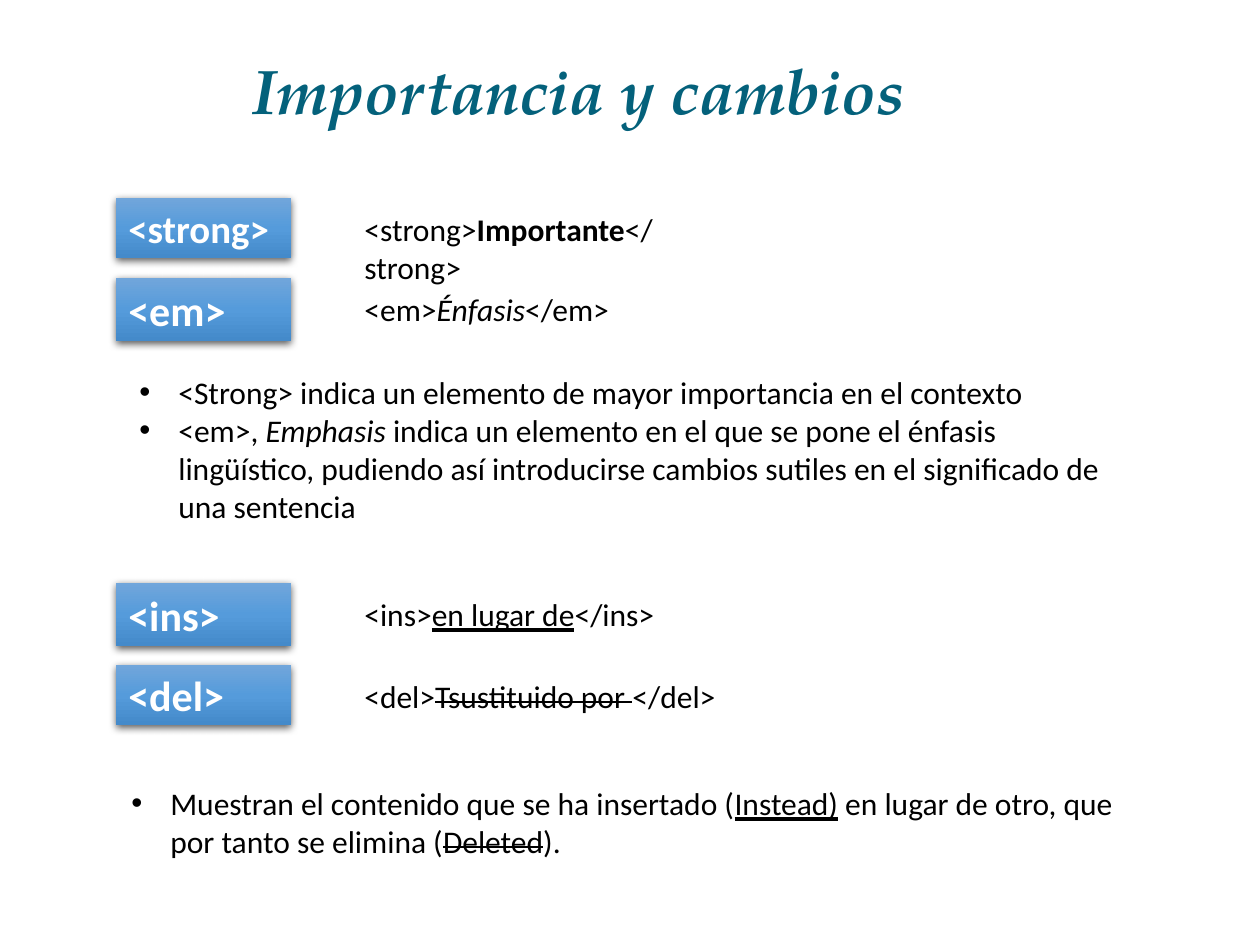
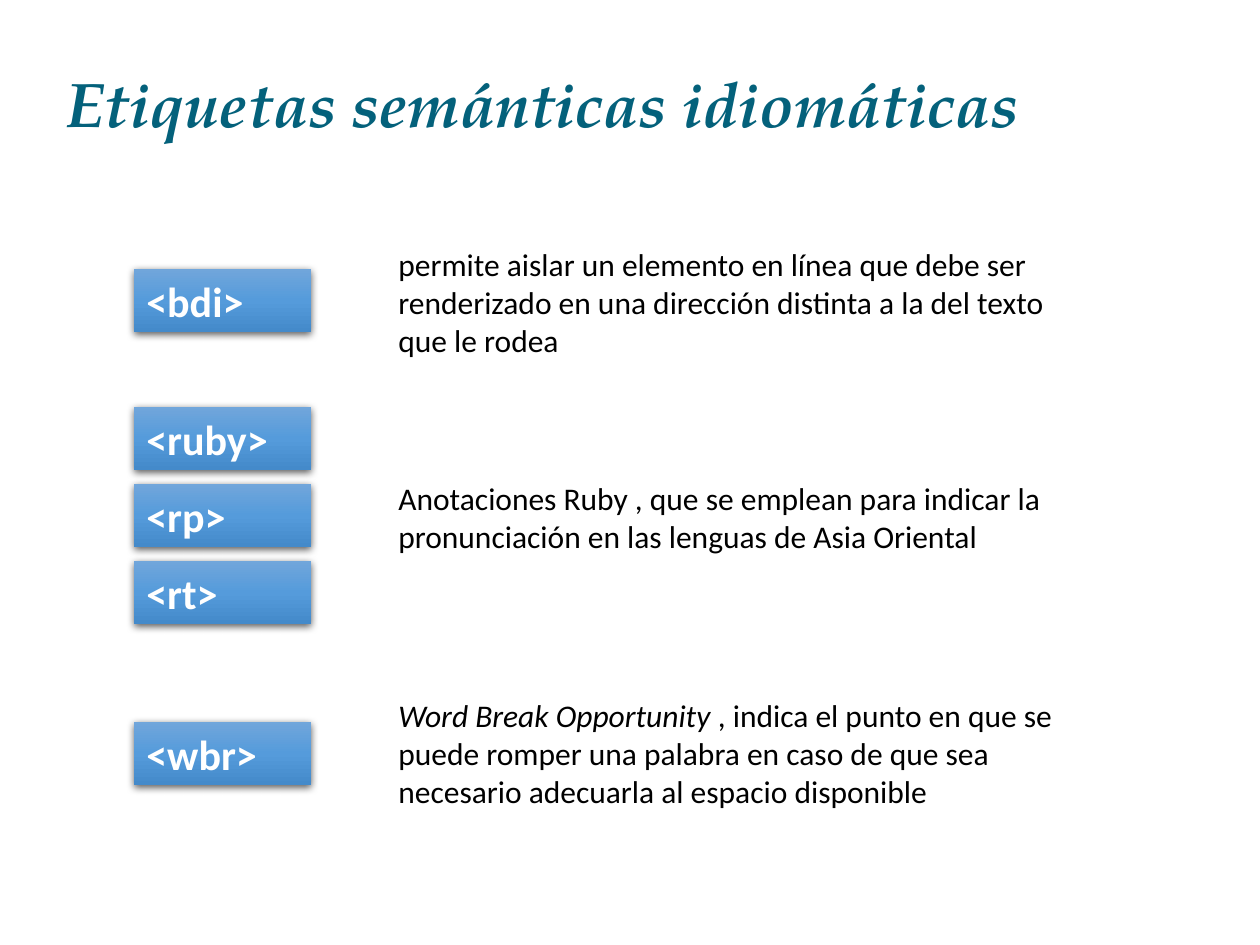
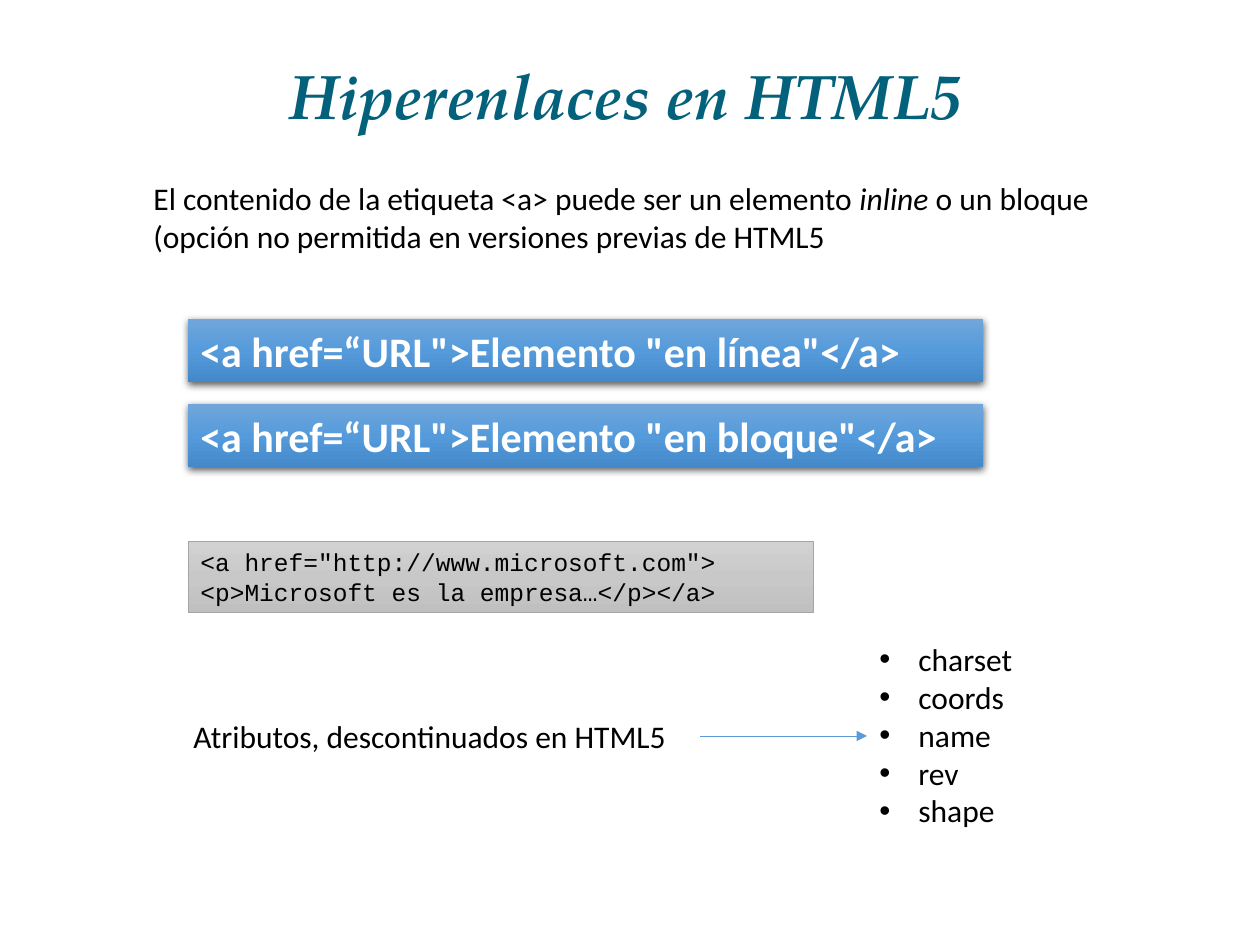
from copy import deepcopy
from dataclasses import dataclass

from pptx import Presentation
from pptx.dml.color import RGBColor
from pptx.enum.shapes import MSO_CONNECTOR, MSO_SHAPE
from pptx.enum.text import MSO_ANCHOR, PP_ALIGN
from pptx.oxml import parse_xml
from pptx.oxml.ns import nsdecls, qn
from pptx.util import Emu, Pt

RECTANGLE = MSO_SHAPE.RECTANGLE
STRAIGHT = MSO_CONNECTOR.STRAIGHT
TOP, MIDDLE = MSO_ANCHOR.TOP, MSO_ANCHOR.MIDDLE
LEFT, CENTER = PP_ALIGN.LEFT, PP_ALIGN.CENTER
LEFT_SIDE, RIGHT_SIDE = 1, 3
BLANK_LAYOUT = 6
PX_PER_INCH = 126


@dataclass(frozen=True)
class Style:
    font: str
    size: float
    color: str
    bold: bool = False
    italic: bool = False


@dataclass(frozen=True)
class Theme:
    title = Style("TeX Gyre Pagella", 36, "04617B", bold=True, italic=True)
    body = Style("Calibri", 18, "000000")
    tag = Style("Calibri", 24, "FFFFFF", bold=True)
    long_tag = Style("Calibri", 22.2, "FFFFFF", bold=True)
    code = Style("Courier New", 14, "000000")
    blue_gradient = ("71A6DB", "559BDB", "448ACA")
    gray_gradient = ("D2D2D2", "C8C8C8", "C0C0C0")
    gray_line = "A5A5A5"
    arrow = "5B9BD5"
    bullet_indent = 39
    tag_height = 63


THEME = Theme()


def px(length):
    return Emu(round(length * 914400 / PX_PER_INCH))


def format_run(run, style, mark=""):
    """Mark is a set of letters: b bold, i italic, u underline, s strike."""
    font = run.font
    font.name, font.size = style.font, Pt(style.size)
    font.color.rgb = RGBColor.from_string(style.color)
    font.bold = style.bold or "b" in mark
    font.italic = style.italic or "i" in mark
    font.underline = "u" in mark
    if "s" in mark:
        run._r.get_or_add_rPr().set("strike", "sngStrike")


def add_bullet(paragraph):
    properties = paragraph._p.get_or_add_pPr()
    indent = px(THEME.bullet_indent)
    properties.set("marL", str(indent))
    properties.set("indent", str(-indent))
    properties.append(parse_xml(f'<a:buFont {nsdecls("a")} typeface="Arial"/>'))
    properties.append(parse_xml(f'<a:buChar {nsdecls("a")} char="•"/>'))


def write(shape, paragraphs, style, anchor=TOP, align=LEFT, bullets=False, spacing=None):
    """Each paragraph is a string or a list of (text, mark) pairs."""
    frame = shape.text_frame
    frame.word_wrap = True
    frame.vertical_anchor = anchor
    for index, content in enumerate(paragraphs):
        paragraph = frame.paragraphs[0] if index == 0 else frame.add_paragraph()
        paragraph.alignment = align
        if spacing:
            paragraph.line_spacing = spacing
        if bullets:
            add_bullet(paragraph)
        if isinstance(content, str):
            paragraph.text = content
            for run in paragraph.runs:
                format_run(run, style)
        else:
            for text, mark in content:
                run = paragraph.add_run()
                run.text = text
                format_run(run, style, mark)


def add_text(slide, box, *paragraphs, style=THEME.body, **options):
    shape = slide.shapes.add_textbox(*map(px, box))
    write(shape, paragraphs, style, **options)
    return shape


def add_title(slide, box, text, align=CENTER, spacing=0.9):
    add_text(slide, box, text, style=THEME.title, anchor=MIDDLE, align=align, spacing=spacing)


def add_gradient_box(slide, box, colors):
    shape = slide.shapes.add_shape(RECTANGLE, *map(px, box))
    shape.shadow.inherit = False
    shape.line.fill.background()
    fill = shape.fill
    fill.gradient()
    fill.gradient_angle = 270
    stop_list = shape._element.spPr.find(qn("a:gradFill")).find(qn("a:gsLst"))
    stop_list.append(deepcopy(stop_list[0]))
    for stop, position, color in zip(fill.gradient_stops, (0, 0.5, 1), colors):
        stop.position = position
        stop.color.rgb = RGBColor.from_string(color)
    return shape


def add_tag(slide, box, text, style=THEME.tag):
    """Blue label with a soft shadow below it."""
    shape = add_gradient_box(slide, box, THEME.blue_gradient)
    shape._element.spPr.find(qn("a:effectLst")).append(parse_xml(
        f'<a:outerShdw {nsdecls("a")} blurRad="{Pt(4.5)}" dist="{Pt(1.5)}" dir="5400000" '
        'algn="ctr" rotWithShape="0"><a:srgbClr val="000000"><a:alpha val="63000"/>'
        '</a:srgbClr></a:outerShdw>'))
    write(shape, [text], style, anchor=MIDDLE)


def add_code(slide, box, text):
    shape = add_gradient_box(slide, box, THEME.gray_gradient)
    shape.line.color.rgb = RGBColor.from_string(THEME.gray_line)
    shape.line.width = Pt(0.5)
    write(shape, [text], THEME.code)


def add_arrow(slide, source, target):
    connector = slide.shapes.add_connector(STRAIGHT, 0, 0, 0, 0)
    connector.begin_connect(source, RIGHT_SIDE)
    connector.end_connect(target, LEFT_SIDE)
    connector.line.color.rgb = RGBColor.from_string(THEME.arrow)
    connector.line.width = Pt(0.5)
    connector.line._get_or_add_ln().append(
        parse_xml(f'<a:tailEnd {nsdecls("a")} type="triangle"/>'))
    connector._element.spPr.append(parse_xml(f'<a:effectLst {nsdecls("a")}/>'))


def add_tag_example(slide, left, top, tag, example, width, height=THEME.tag_height,
                    style=THEME.tag):
    """Label with a marked sample of its use to the right."""
    add_tag(slide, (left, top, 175, height), f"<{tag}>", style)
    sample = [(f"<{tag}>", ""), example, (f"</{tag}>", "")]
    add_text(slide, (left + 236, top + 6, width, 50), sample)


def add_tag_group(slide, left, top, tags, definition, definition_top, definition_height):
    """Stack of labels with one definition to the right."""
    for index, tag in enumerate(tags):
        add_tag(slide, (left, top + index * 77, 177, THEME.tag_height), f"<{tag}>")
    add_text(slide, (left + 252, definition_top, 709, definition_height), definition)


def build_importance(slide):
    add_title(slide, (87, 50, 983, 88), "Importancia y cambios")
    add_tag_example(slide, 116, 198, "strong", ("Importante", "b"), 403, 60, THEME.long_tag)
    add_tag_example(slide, 116, 278, "em", ("Énfasis", "i"), 270)
    add_text(slide, (127, 367, 1006, 165),
             "<Strong> indica un elemento de mayor importancia en el contexto",
             [("<em>, ", ""), ("Emphasis ", "i"),
              ("indica un elemento en el que se pone el énfasis lingüístico, pudiendo así "
               "introducirse cambios sutiles en el significado de una sentencia", "")],
             bullets=True)
    add_tag_example(slide, 116, 583, "ins", ("en lugar de", "u"), 317)
    add_tag_example(slide, 116, 665, "del", ("Tsustituido por ", "s"), 378, 60)
    add_text(slide, (119, 778, 1006, 89),
             [("Muestran el contenido que se ha insertado (", ""), ("Instead)", "u"),
              (" en lugar de otro, que por tanto se elimina (", ""), ("Deleted", "s"),
              (").", "")],
             bullets=True)


def build_language_tags(slide):
    add_title(slide, (54, 63, 1041, 88), "Etiquetas semánticas idiomáticas", align=LEFT)
    add_tag_group(slide, 134, 269, ["bdi"],
                  "permite aislar un elemento en línea que debe ser renderizado en una "
                  "dirección distinta a la del texto que le rodea", 239, 127)
    add_tag_group(slide, 134, 407, ["ruby", "rp", "rt"],
                  "Anotaciones Ruby , que se emplean para indicar la pronunciación en las "
                  "lenguas de Asia Oriental", 473, 89)
    add_tag_group(slide, 134, 722, ["wbr"],
                  [("Word Break Opportunity ", "i"),
                   (", indica el punto en que se puede romper una palabra en caso de que sea "
                    "necesario adecuarla al espacio disponible", "")], 690, 127)


def build_hyperlinks(slide):
    add_title(slide, (83, 38, 1086, 113), "Hiperenlaces en HTML5", spacing=None)
    add_text(slide, (141, 173, 1012, 89),
             [("El contenido de la etiqueta <a> puede ser un elemento ", ""), ("inline", "i"),
              (" o un bloque (opción no permitida en versiones previas de HTML5", "")])
    for index, kind in enumerate(("línea", "bloque")):
        add_tag(slide, (188, 319 + index * 85, 795, THEME.tag_height),
                f'<a href=“URL">Elemento "en {kind}"</a>')
    add_code(slide, (188, 541, 626, 72),
             '<a href="http://www.microsoft.com">\n<p>Microsoft es la empresa…</p></a>')
    caption = add_text(slide, (181, 711, 519, 50), "Atributos, descontinuados en HTML5")
    attributes = add_text(slide, (867, 634, 233, 204),
                          "charset", "coords", "name", "rev", "shape", bullets=True)
    add_arrow(slide, caption, attributes)


def main():
    presentation = Presentation()
    presentation.slide_width, presentation.slide_height = px(1260), px(945)
    layout = presentation.slide_layouts[BLANK_LAYOUT]
    for build in (build_importance, build_language_tags, build_hyperlinks):
        build(presentation.slides.add_slide(layout))
    presentation.save("out.pptx")


if __name__ == "__main__":
    main()
